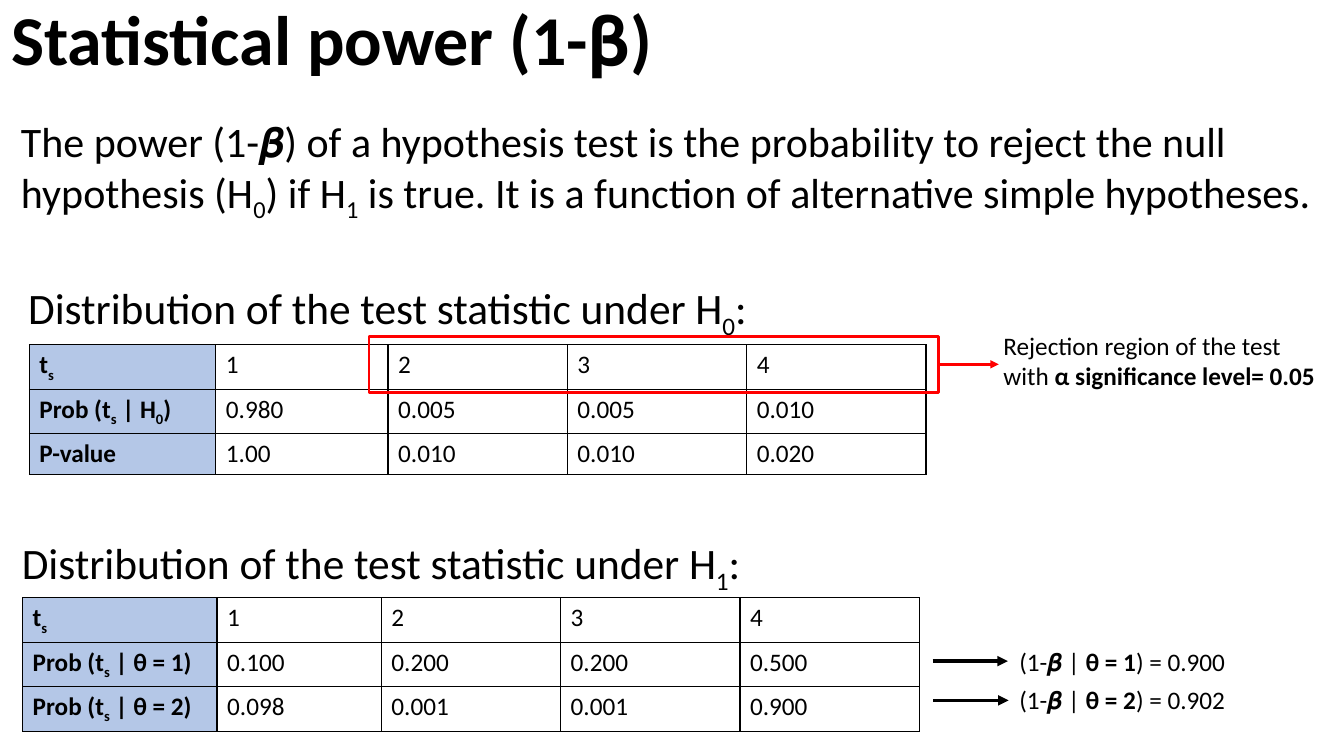
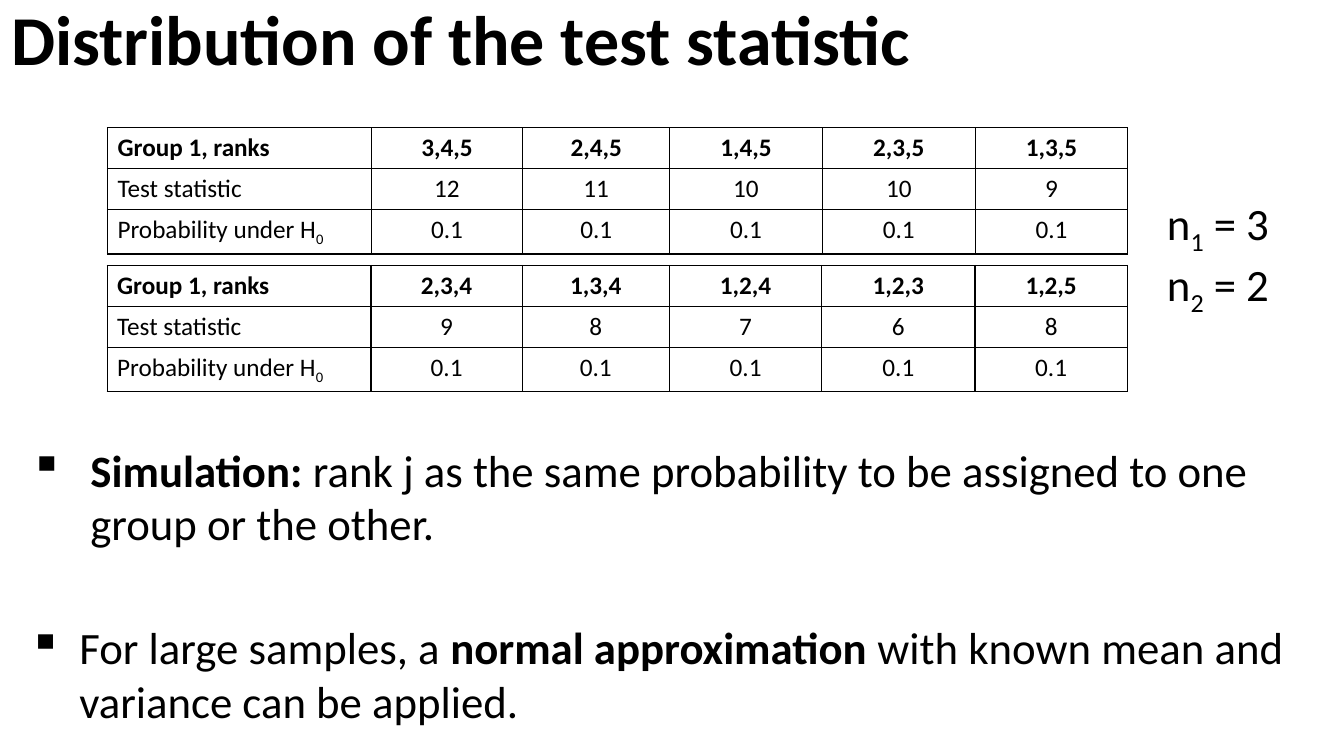
from lxml import etree
from pptx import Presentation
from pptx.dml.color import RGBColor
from pptx.enum.shapes import MSO_CONNECTOR, MSO_SHAPE
from pptx.enum.text import MSO_ANCHOR, PP_ALIGN
from pptx.oxml.ns import qn
from pptx.util import Cm, Pt

BLACK = RGBColor(0x00, 0x00, 0x00)
RED = RGBColor(0xFF, 0x00, 0x00)
LABEL_BLUE = RGBColor(0xB4, 0xC7, 0xE7)
FONT = "Calibri"
CENTER = PP_ALIGN.CENTER
MIDDLE = MSO_ANCHOR.MIDDLE
RECTANGLE = MSO_SHAPE.RECTANGLE
STRAIGHT = MSO_CONNECTOR.STRAIGHT


def write(p, text, size):
    """Fill a paragraph: *bold*, ~subscript~."""
    for i, part in enumerate(text.split("*")):
        for j, piece in enumerate(part.split("~")):
            if piece:
                r = p.add_run()
                r.text = piece
                r.font.name = FONT
                r.font.size = Pt(size)
                r.font.bold = i % 2 == 1
                r.font.color.rgb = BLACK
                if j % 2:
                    r.font._element.set("baseline", "-25000")


def add_text(s, x, y, w, h, size, lines):
    tf = s.shapes.add_textbox(Cm(x), Cm(y), Cm(w), Cm(h)).text_frame
    tf.word_wrap = True
    for i, line in enumerate(lines):
        p = tf.add_paragraph() if i else tf.paragraphs[0]
        write(p, line, size)
    return tf


prs = Presentation()
prs.slide_width, prs.slide_height = Cm(33.87), Cm(19.05)
slides = []
for title in ["*Statistical power (1-*𝛃*)*", "*Distribution of the test statistic*"]:
    s = prs.slides.add_slide(prs.slide_layouts[6])
    tf = add_text(s, 0.03, 0.09, 33.84, 2, 50, [title])
    tf.vertical_anchor = MIDDLE
    tf.paragraphs[0].line_spacing = 0.9
    slides.append(s)
power, ranks = slides

power_cols = [4.7, 4.34, 4.52, 4.52, 4.52]
theta_cols = [4.9, 4.14, 4.52, 4.52, 4.52]
rank_cols = [6.65, 3.81, 3.71, 3.84, 3.86, 3.84]
tables = [
    (power, 0.74, 8.69, power_cols, [
        ["*t~s~*", "1", "2", "3", "4"],
        ["*Prob (t~s~ | H~0~)*", "0.980", "0.005", "0.005", "0.010"],
        ["*P-value*", "1.00", "0.010", "0.010", "0.020"]]),
    (power, 0.57, 15.06, theta_cols, [
        ["*t~s~*", "1", "2", "3", "4"],
        ["*Prob (t~s~ | θ = 1)*", "0.100", "0.200", "0.200", "0.500"],
        ["*Prob (t~s~ | θ = 2)*", "0.098", "0.001", "0.001", "0.900"]]),
    (ranks, 2.71, 3.22, rank_cols, [
        ["*Group 1, ranks*", "*3,4,5*", "*2,4,5*", "*1,4,5*", "*2,3,5*", "*1,3,5*"],
        ["Test statistic", "12", "11", "10", "10", "9"],
        ["Probability under H~0~"] + ["0.1"] * 5]),
    (ranks, 2.7, 6.69, rank_cols, [
        ["*Group 1, ranks*", "*2,3,4*", "*1,3,4*", "*1,2,4*", "*1,2,3*", "*1,2,5*"],
        ["Test statistic", "9", "8", "7", "6", "8"],
        ["Probability under H~0~"] + ["0.1"] * 5]),
]
for s, x, y, widths, rows in tables:
    table = s.shapes.add_table(len(rows), len(widths), Cm(x), Cm(y),
                               Cm(sum(widths)), Cm(1.03 * len(rows))).table
    table.first_row = table.horz_banding = False
    for column, width in zip(table.columns, widths):
        column.width = Cm(width)
    for i, row in enumerate(rows):
        table.rows[i].height = Cm(1.03)
        for j, text in enumerate(row):
            cell = table.cell(i, j)
            p = cell.text_frame.paragraphs[0]
            write(p, text, 18)
            if s is ranks and j:
                p.alignment = CENTER
            tcPr = cell._tc.get_or_add_tcPr()
            for side in ["a:lnL", "a:lnR", "a:lnT", "a:lnB"]:
                ln = etree.SubElement(tcPr, qn(side), w=str(Pt(1)))
                fill = etree.SubElement(ln, qn("a:solidFill"))
                etree.SubElement(fill, qn("a:srgbClr"), val=str(BLACK))
            if s is power and j == 0:
                cell.fill.solid()
                cell.fill.fore_color.rgb = LABEL_BLUE
            else:
                cell.fill.background()

texts = [
    (power, 0.28, 2.79, 33.12, 2.9, 30, [
        "The power (1-𝜷) of a hypothesis test is the probability to reject the null "
        "hypothesis (H~0~) if H~1~ is true. It is a function of alternative simple hypotheses."]),
    (power, 0.46, 6.96, 19.15, 1.57, 31, ["Distribution of the test statistic under H~0~:"]),
    (power, 0.3, 13.39, 19.15, 1.57, 31, ["Distribution of the test statistic under H~1~:"]),
    (power, 25.04, 8.2, 8.45, 1.8, 18, [
        "Rejection region of the test with *α significance level= 0.05*"]),
    (power, 25.44, 16.15, 6.1, 1.02, 18, ["(1-𝜷 | *θ = 1*) = 0.900"]),
    (power, 25.44, 17.12, 6.1, 1.02, 18, ["(1-𝜷 | *θ = 2*) = 0.902"]),
    (ranks, 29.16, 4.8, 3.84, 3, 32, ["n~1~ = 3", "n~2~ = 2"]),
]
for text in texts:
    add_text(*text)

bullets = [
    (0.51, 11.02, 32.44, 1.52,
     "*Simulation:* rank j as the same probability to be assigned to one group or the other."),
    (0.48, 15.49, 32.94, 1.27,
     "For large samples, a *normal approximation* with known mean and variance can be applied."),
]
for x, y, w, indent, text in bullets:
    tf = add_text(ranks, x, y, w, 3, 32, [text])
    pPr = tf.paragraphs[0]._p.get_or_add_pPr()
    pPr.set("marL", str(Cm(indent)))
    pPr.set("indent", str(-Cm(indent)))
    etree.SubElement(pPr, qn("a:buChar"), char="▪")

region = power.shapes.add_shape(RECTANGLE, Cm(9.3), Cm(8.48), Cm(14.35), Cm(1.42))
region.shadow.inherit = False
region.fill.background()
region.line.color.rgb = RED
region.line.width = Pt(2)

arrows = [
    (23.65, 9.18, 1.52, RED, 2),
    (23.5, 16.66, 1.9, BLACK, 2.5),
    (23.52, 17.65, 1.9, BLACK, 2.5),
]
for x, y, length, color, width in arrows:
    arrow = power.shapes.add_connector(STRAIGHT, Cm(x), Cm(y), Cm(x + length), Cm(y))
    arrow.line.color.rgb = color
    arrow.line.width = Pt(width)
    etree.SubElement(arrow.line._get_or_add_ln(), qn("a:tailEnd"), type="triangle")
    etree.SubElement(arrow._element.spPr, qn("a:effectLst"))

prs.save("out.pptx")
